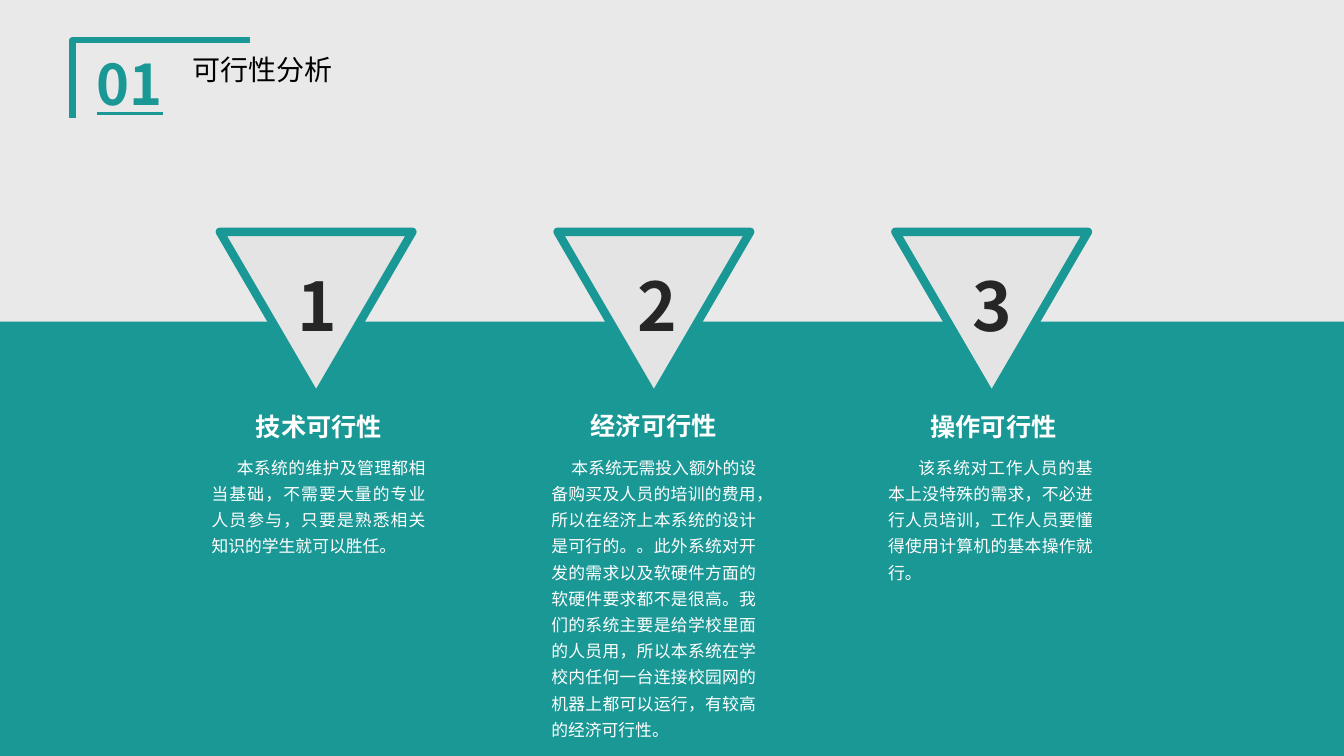
from dataclasses import dataclass

from lxml import etree
from pptx import Presentation
from pptx.dml.color import RGBColor
from pptx.enum.shapes import MSO_SHAPE
from pptx.enum.text import MSO_ANCHOR, MSO_AUTO_SIZE, PP_ALIGN
from pptx.oxml.ns import qn
from pptx.util import Inches, Pt

RECTANGLE = MSO_SHAPE.RECTANGLE
TRIANGLE = MSO_SHAPE.ISOSCELES_TRIANGLE
TOP = MSO_ANCHOR.TOP
NO_AUTOFIT = MSO_AUTO_SIZE.NONE
LEFT, JUSTIFY = PP_ALIGN.LEFT, PP_ALIGN.JUSTIFY


@dataclass(frozen=True)
class Theme:
    """Colours, font and type sizes of the slide."""
    teal: str = "1A9895"
    background: str = "E9E9E9"
    panel: str = "E4E4E4"
    dark: str = "262626"
    black: str = "000000"
    white: str = "FFFFFF"
    font: str = "Noto Sans CJK SC"
    section: int = 40
    title: int = 20
    number: int = 48
    heading: int = 18
    body: int = 12


THEME = Theme()
FIRST_TRIANGLE, PITCH = 2.18, 3.35

COLUMNS = [
    dict(number_x=2.85, heading="技术可行性", heading_at=(2.44, 4.03),
         body_x=2, body_w=2.32, body_h=1.15, indent=0.25,
         body="本系统的维护及管理都相当基础，不需要大量的专业人员参与，"
              "只要是熟悉相关知识的学生就可以胜任。"),
    dict(number_x=6.22, heading="经济可行性", heading_at=(5.76, 4.02),
         body_x=5.37, body_w=2.23, body_h=2.98, indent=0.2,
         body="本系统无需投入额外的设备购买及人员的培训的费用，"
              "所以在经济上本系统的设计是可行的。。"
              "此外系统对开发的需求以及软硬件方面的软硬件要求都不是很高。"
              "我们的系统主要是给学校里面的人员用，"
              "所以本系统在学校内任何一台连接校园网的机器上都可以运行，"
              "有较高的经济可行性。"),
    dict(number_x=9.55, heading="操作可行性", heading_at=(9.13, 4.03),
         body_x=8.71, body_w=2.23, body_h=1.41, indent=0.3,
         body="该系统对工作人员的基本上没特殊的需求，不必进行人员培训，"
              "工作人员要懂得使用计算机的基本操作就行。"),
]


def rgb(color):
    """Turn a hex string into a colour."""
    return RGBColor.from_string(color)


def write_text(sp, text, *, size, color, bold=False, underline=False,
               align=LEFT, spacing=1.0, indent=0, wrap=True):
    """Write one formatted paragraph into a shape."""
    tf = sp.text_frame
    tf.auto_size = NO_AUTOFIT
    tf.word_wrap = wrap
    tf.vertical_anchor = TOP
    p = tf.paragraphs[0]
    p.alignment = align
    p.line_spacing = spacing
    if indent:
        pPr = p._p.get_or_add_pPr()
        pPr.set("marL", "0")
        pPr.set("indent", str(Inches(indent)))
    r = p.add_run()
    r.text = text
    r.font.size = Pt(size)
    r.font.bold = bold
    r.font.underline = underline
    r.font.color.rgb = rgb(color)
    r.font.name = THEME.font
    ea = etree.SubElement(r._r.get_or_add_rPr(), qn("a:ea"))
    ea.set("typeface", THEME.font)


def place(sp, *box):
    """Move and size a shape in inches."""
    sp.left, sp.top, sp.width, sp.height = map(Inches, box)


def add_text(s, text, *box, **fmt):
    """Add a text box."""
    sp = s.shapes.add_textbox(*map(Inches, box))
    write_text(sp, text, **fmt)


def add_block(s, shape, *box, fill, line_width=0):
    """Add a filled shape with an optional teal outline."""
    sp = s.shapes.add_shape(shape, *map(Inches, box))
    sp.shadow.inherit = False
    sp.fill.solid()
    sp.fill.fore_color.rgb = rgb(fill)
    if line_width:
        sp.line.color.rgb = rgb(THEME.teal)
        sp.line.width = Pt(line_width)
    else:
        sp.line.fill.background()
    return sp


def add_corner(s):
    """Draw the open corner bracket around the section number."""
    builder = s.shapes.build_freeform(Inches(0.72), Inches(1.17))
    builder.add_line_segments(
        [(Inches(0.72), Inches(0.4)), (Inches(2.48), Inches(0.4))], close=False)
    sp = builder.convert_to_shape()
    sp.shadow.inherit = False
    sp.fill.background()
    sp.line.color.rgb = rgb(THEME.teal)
    sp.line.width = Pt(4.5)


def add_header(s):
    """Add the bracket, section number and slide title."""
    add_corner(s)
    add_text(s, "01", 0.86, 0.44, 0.95, 0.77, size=THEME.section,
             color=THEME.teal, bold=True, underline=True)
    title = s.shapes.title
    place(title, 1.81, 0.47, 2.4, 0.44)
    write_text(title, "可行性分析", size=THEME.title, color=THEME.black)


def add_column(s, index, column):
    """Add one numbered triangle with its heading and body."""
    triangle = add_block(s, TRIANGLE, FIRST_TRIANGLE + index * PITCH, 2.3,
                         1.91, 1.64, fill=THEME.panel, line_width=6)
    triangle.rotation = 180
    add_text(s, str(index + 1), column["number_x"], 2.57, 0.62, 0.91,
             size=THEME.number, color=THEME.dark, bold=True, wrap=False)
    add_text(s, column["heading"], *column["heading_at"], 1.45, 0.4,
             size=THEME.heading, color=THEME.white, bold=True, wrap=False)
    add_text(s, column["body"], column["body_x"], 4.43, column["body_w"],
             column["body_h"], size=THEME.body, color=THEME.white,
             align=JUSTIFY, spacing=1.3, indent=column["indent"])


def main():
    """Build the slide and save it."""
    prs = Presentation()
    prs.slide_width, prs.slide_height = Inches(13.33), Inches(7.5)
    s = prs.slides.add_slide(prs.slide_layouts.get_by_name("Title Only"))
    s.background.fill.solid()
    s.background.fill.fore_color.rgb = rgb(THEME.background)
    add_block(s, RECTANGLE, 0, 3.19, 13.33, 4.37, fill=THEME.teal)
    add_header(s)
    for index, column in enumerate(COLUMNS):
        add_column(s, index, column)
    prs.save("out.pptx")


if __name__ == "__main__":
    main()
